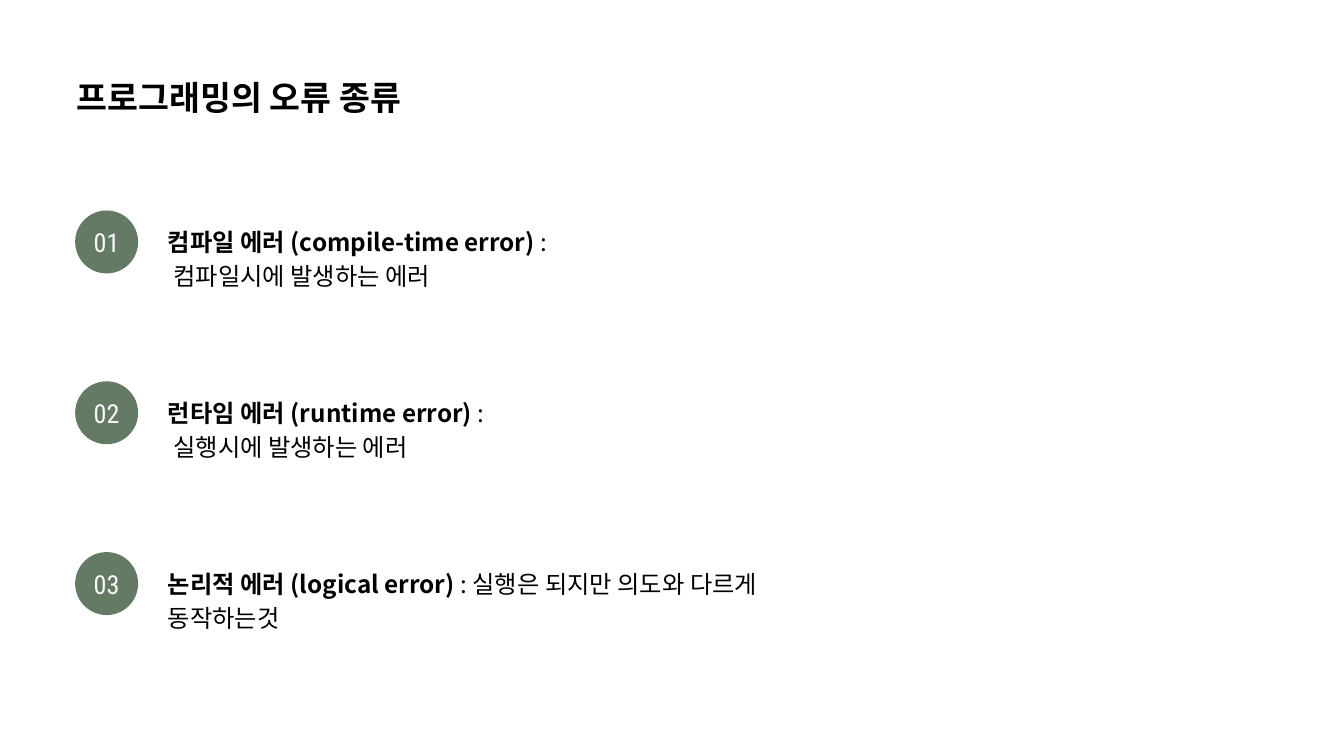
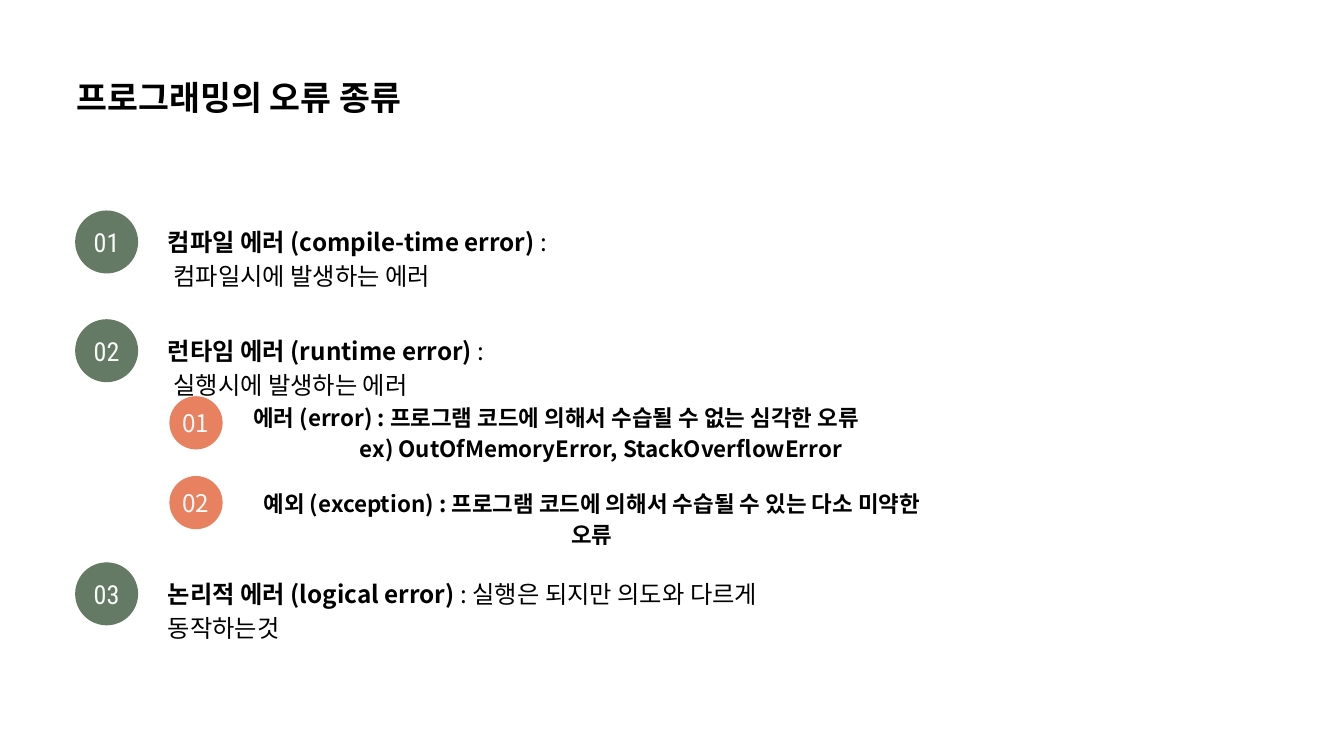
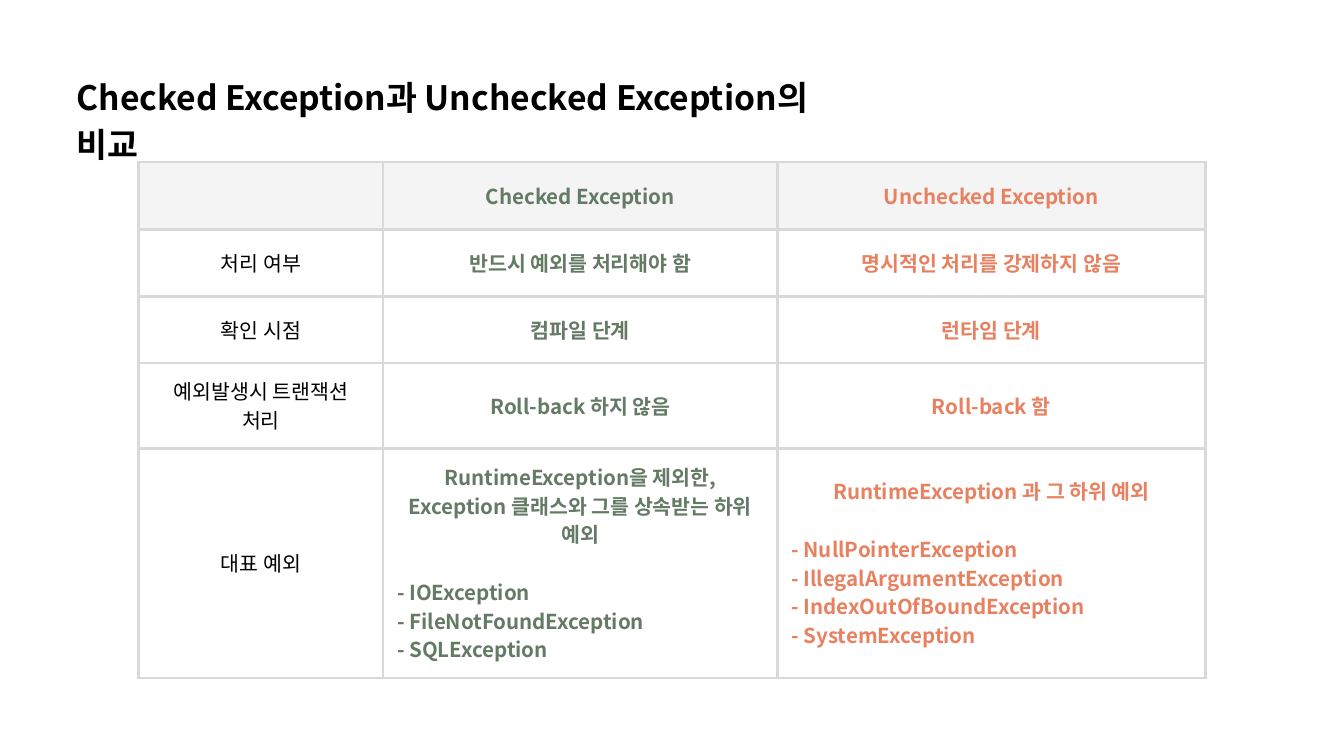
from lxml.etree import SubElement
from pptx import Presentation
from pptx.dml.color import RGBColor
from pptx.enum.shapes import MSO_SHAPE as Shape
from pptx.enum.text import MSO_ANCHOR as Anchor, MSO_AUTO_SIZE as Fit, PP_ALIGN as Align
from pptx.oxml.ns import qn
from pptx.util import Pt

BLACK = RGBColor(0x00, 0x00, 0x00)
PALE = RGBColor(0xF9, 0xF9, 0xF9)
HEAD = RGBColor(0xF4, 0xF4, 0xF4)
GRID = RGBColor(0xD9, 0xD9, 0xD9)
GREEN = RGBColor(0x64, 0x7A, 0x65)
CORAL = RGBColor(0xE8, 0x81, 0x60)
SANS, THIN = "Noto Sans CJK KR", "Roboto Condensed"
NBSP = chr(160)

KINDS = "프로그래밍의 오류 종류"
# head, detail, box width; the first two details stay whole when wrapped
ERRORS = [
    ("컴파일 에러 (compile-time error)", " : 컴파일시에 발생하는 에러".replace(" ", NBSP), 669.5),
    ("런타임 에러 (runtime error)", " : 실행시에 발생하는 에러".replace(" ", NBSP), 576),
    ("논리적 에러 (logical error)", " : 실행은 되지만 의도와 다르게 동작하는것", 726),
]
ROWS = [
    ("", "Checked Exception", "Unchecked Exception"),
    ("처리 여부", "반드시 예외를 처리해야 함", "명시적인 처리를 강제하지 않음"),
    ("확인 시점", "컴파일 단계", "런타임 단계"),
    ("예외발생시 트랜잭션 처리", "Roll-back 하지 않음", "Roll-back 함"),
    ("대표 예외",
     "RuntimeException을 제외한, Exception 클래스와 그를 상속받는 하위 예외",
     "RuntimeException 과 그 하위 예외"),
]
CASES = {
    1: ["IOException", "FileNotFoundException", "SQLException"],
    2: ["NullPointerException", "IllegalArgumentException",
        "IndexOutOfBoundException", "SystemException"],
}


def put(para, text, size, color=BLACK, bold=False, face=SANS):
    """Add a run to the paragraph."""
    run = para.add_run()
    run.text = text
    for key, val in {"size": Pt(size), "bold": bold, "name": face}.items():
        setattr(run.font, key, val)
    run.font.color.rgb = color
    SubElement(run._r.get_or_add_rPr(), qn("a:ea")).set("typeface", face)


def frame(shape, anchor=Anchor.TOP, wrap=True):
    """Clear the insets of a shape's text and return its frame."""
    area = shape.text_frame
    plain = {"margin_left": 0, "margin_top": 0, "margin_right": 0, "margin_bottom": 0,
             "auto_size": Fit.NONE, "word_wrap": wrap, "vertical_anchor": anchor}
    for key, val in plain.items():
        setattr(area, key, val)
    return area


def space(para, pitch, align=Align.LEFT, before=0):
    para.alignment = align
    para.line_spacing = Pt(pitch)
    para.space_before = Pt(before)


def start(deck, text, width):
    """Add a slide with its title."""
    slide = deck.slides.add_slide(deck.slide_layouts[5])
    title = slide.shapes.title
    place = {"left": 82, "top": 75, "width": width, "height": 49}
    for key, val in place.items():
        setattr(title, key, Pt(val))
    para = frame(title).paragraphs[0]
    space(para, 50.4)
    put(para, text, 36, bold=True)
    return slide


def badge(slide, num, x, y, side, fill, size, face):
    dot = slide.shapes.add_shape(Shape.OVAL, Pt(x), Pt(y), Pt(side), Pt(side))
    dot.shadow.inherit = False
    dot.fill.solid()
    dot.fill.fore_color.rgb = fill
    dot.line.fill.background()
    para = frame(dot, Anchor.MIDDLE, False).paragraphs[0]
    para.alignment = Align.CENTER
    put(para, f"{num:02}", size, PALE, face=face)


def box(slide, x, y, width, height):
    return frame(slide.shapes.add_textbox(Pt(x), Pt(y), Pt(width), Pt(height)))


def items(slide, tops):
    """List the three kinds of error, one at each top."""
    for num, (top, (head, detail, width)) in enumerate(zip(tops, ERRORS), 1):
        badge(slide, num, 80.5, top, 67.5, GREEN, 28, THIN)
        para = box(slide, 180, top + 13, width, 35.5).paragraphs[0]
        space(para, 36.4)
        put(para, head, 26, bold=True)
        put(para, detail, 26)


def split(slide):
    """Divide runtime errors into errors and exceptions."""
    for num, top in enumerate((424.5, 510), 1):
        badge(slide, num, 181.5, top, 57, CORAL, 26, SANS)
    area = box(slide, 271.5, 428, 888, 65)
    para, case = area.paragraphs[0], area.add_paragraph()
    space(para, 33.6)
    put(para, "에러 (error) : 프로그램 코드에 의해서 수습될 수 없는 심각한 오류", 24, bold=True)
    space(case, 33.6)
    case._p.get_or_add_pPr().set("marL", str(Pt(114)))
    put(case, "ex) OutOfMemoryError, StackOverflowError", 24, bold=True)
    para = box(slide, 271.5, 520, 725, 32).paragraphs[0]
    space(para, 33.6, Align.CENTER)
    put(para, "예외 (exception) : 프로그램 코드에 의해서 수습될 수 있는 다소 미약한 오류", 24, bold=True)


def edge(cell):
    """Draw the four borders of a cell; call before filling it."""
    prop = cell._tc.get_or_add_tcPr()
    for side in ("lnL", "lnR", "lnT", "lnB"):
        line = SubElement(prop, qn(f"a:{side}"), w=str(Pt(3)))
        fill = SubElement(line, qn("a:solidFill"))
        SubElement(fill, qn("a:srgbClr"), val=str(GRID))


def grid(slide):
    cols, rows = (262, 422.5, 458.5), (72.5, 71.5, 71.5, 71.5, 229.5)
    table = slide.shapes.add_table(len(rows), len(cols), Pt(148.5), Pt(173.5),
                                   Pt(sum(cols)), Pt(sum(rows))).table
    table.first_row = table.horz_banding = False
    for col, width in zip(table.columns, cols):
        col.width = Pt(width)
    for r, (texts, height) in enumerate(zip(ROWS, rows)):
        table.rows[r].height = Pt(height)
        for c, (text, color) in enumerate(zip(texts, (BLACK, GREEN, CORAL))):
            cell = table.cell(r, c)
            edge(cell)
            if r == 0:
                cell.fill.solid()
                cell.fill.fore_color.rgb = HEAD
            else:
                cell.fill.background()
            for side in ("left", "top", "right", "bottom"):
                setattr(cell, f"margin_{side}", Pt(15))
            cell.vertical_anchor = Anchor.MIDDLE
            if not text:
                continue
            area = cell.text_frame
            space(area.paragraphs[0], 30.8, Align.CENTER)
            put(area.paragraphs[0], text, 22, color, c > 0)
            if r == len(rows) - 1:
                for n, name in enumerate(CASES.get(c, [])):
                    para = area.add_paragraph()
                    space(para, 30.8, before=0 if n else 30.8)
                    put(para, f"- {name}", 22, color, True)


def main():
    deck = Presentation()
    deck.slide_width, deck.slide_height = Pt(1440), Pt(810)
    items(start(deck, KINDS, 489), [225.5 + 183 * n for n in range(3)])
    slide = start(deck, KINDS, 489)
    items(slide, (225.5, 342, 602.5))
    split(slide)
    grid(start(deck, "Checked Exception과 Unchecked Exception의 비교", 854))
    deck.save("out.pptx")


if __name__ == "__main__":
    main()
